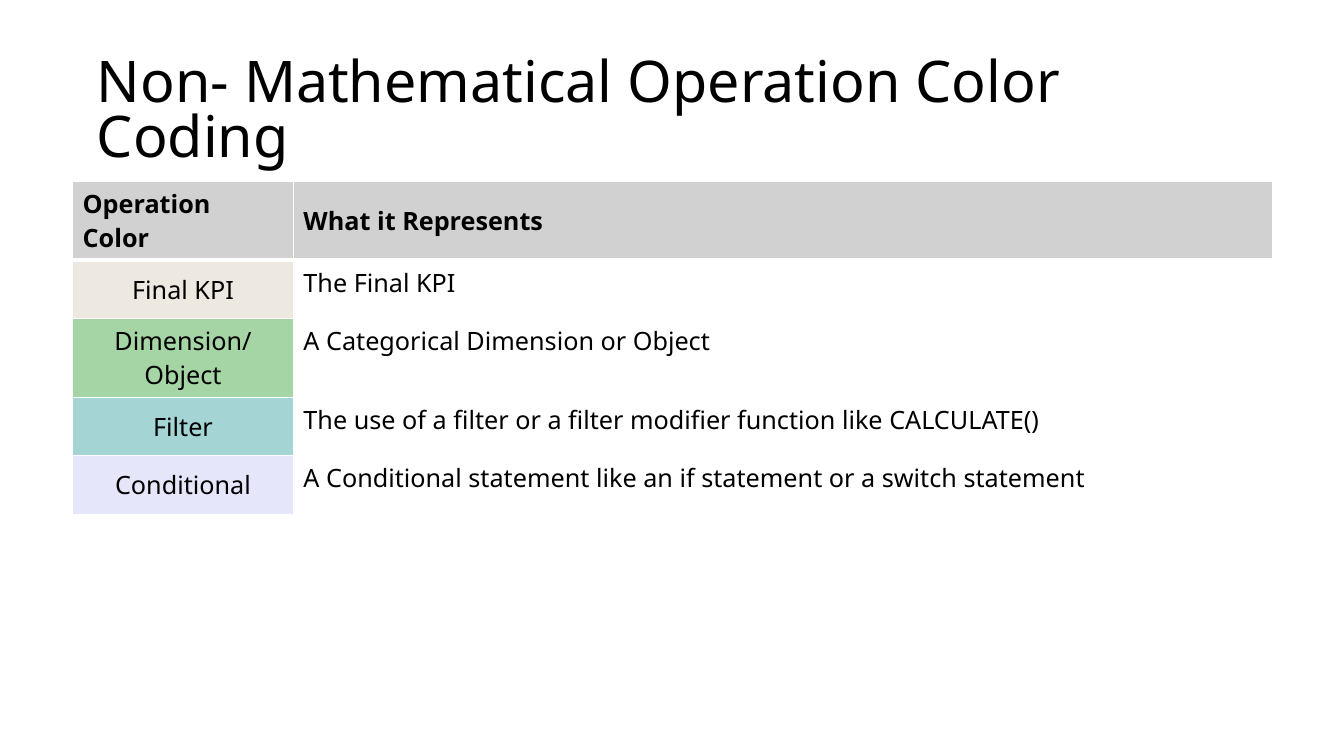
from pptx import Presentation
from pptx.dml.color import RGBColor
from pptx.enum.text import MSO_ANCHOR as Anchor, MSO_AUTO_SIZE as AutoSize, PP_ALIGN as Align
from pptx.oxml.ns import qn
from pptx.util import Inches, Pt
from lxml.etree import SubElement

FONT = "Noto Sans"
BLACK = RGBColor(0x00, 0x00, 0x00)
WHITE = RGBColor(0xFF, 0xFF, 0xFF)
HEADER_GRAY = RGBColor(0xD1, 0xD1, 0xD1)
KPI_BEIGE = RGBColor(0xEE, 0xE9, 0xE0)
DIMENSION_GREEN = RGBColor(0xA5, 0xD4, 0xA5)
FILTER_TEAL = RGBColor(0xA5, 0xD4, 0xD4)
CONDITIONAL_LAVENDER = RGBColor(0xE6, 0xE6, 0xFA)

HEADINGS = ("Operation Color", "What it Represents")
OPERATIONS = [
    ("Final KPI", "The Final KPI", KPI_BEIGE),
    ("Dimension/Object", "A Categorical Dimension or Object", DIMENSION_GREEN),
    ("Filter", "The use of a filter or a filter modifier function like CALCULATE()", FILTER_TEAL),
    ("Conditional", "A Conditional statement like an if statement or a switch statement",
     CONDITIONAL_LAVENDER),
]
COLUMN_WIDTHS = (2.19, 9.71)
ROW_HEIGHT = 0.58


def write(frame, text, size=18, bold=False, align=Align.LEFT, spacing=None):
    para = frame.paragraphs[0]
    para.alignment = align
    para.line_spacing = spacing
    span = para.add_run()
    span.text = text
    span.font.name = FONT
    span.font.size = Pt(size)
    span.font.bold = bold
    span.font.color.rgb = BLACK


def format_cell(cell, fill, anchor, bottom_width=1):
    cell.vertical_anchor = anchor
    properties = cell._tc.get_or_add_tcPr()
    # Borders come before the fill in the cell properties
    for side, width in (("L", 1), ("R", 1), ("T", 1), ("B", bottom_width)):
        line = SubElement(properties, qn(f"a:ln{side}"), w=str(Pt(width)))
        solid = SubElement(line, qn("a:solidFill"))
        SubElement(solid, qn("a:srgbClr"), val=str(WHITE))
    cell.fill.solid()
    cell.fill.fore_color.rgb = fill


deck = Presentation()
deck.slide_width, deck.slide_height = Inches(13.33), Inches(7.5)
page = deck.slides.add_slide(deck.slide_layouts[5])

# Title
title = page.shapes.title
title.left, title.top = Inches(0.86), Inches(0.4)
title.width, title.height = Inches(11.56), Inches(1.45)
title.text_frame.vertical_anchor = Anchor.MIDDLE
title.text_frame.auto_size = AutoSize.TEXT_TO_FIT_SHAPE
write(title.text_frame, "Non- Mathematical Operation Color Coding", size=44, spacing=0.9)

# Table grid
row_count = len(OPERATIONS) + 1
table = page.shapes.add_table(
    row_count, len(COLUMN_WIDTHS), Inches(0.72), Inches(1.8),
    Inches(sum(COLUMN_WIDTHS)), Inches(ROW_HEIGHT * row_count)).table
for column, width in zip(table.columns, COLUMN_WIDTHS):
    column.width = Inches(width)

# Header row
for cell, heading in zip(table.rows[0].cells, HEADINGS):
    write(cell.text_frame, heading, bold=True)
    format_cell(cell, HEADER_GRAY, Anchor.MIDDLE, bottom_width=3)

# One row per operation: colored name, then its meaning
for row, (name, meaning, color) in enumerate(OPERATIONS, start=1):
    name_cell, meaning_cell = table.cell(row, 0), table.cell(row, 1)
    write(name_cell.text_frame, name, align=Align.CENTER)
    format_cell(name_cell, color, Anchor.MIDDLE)
    write(meaning_cell.text_frame, meaning)
    format_cell(meaning_cell, WHITE, Anchor.TOP)

deck.save("out.pptx")
